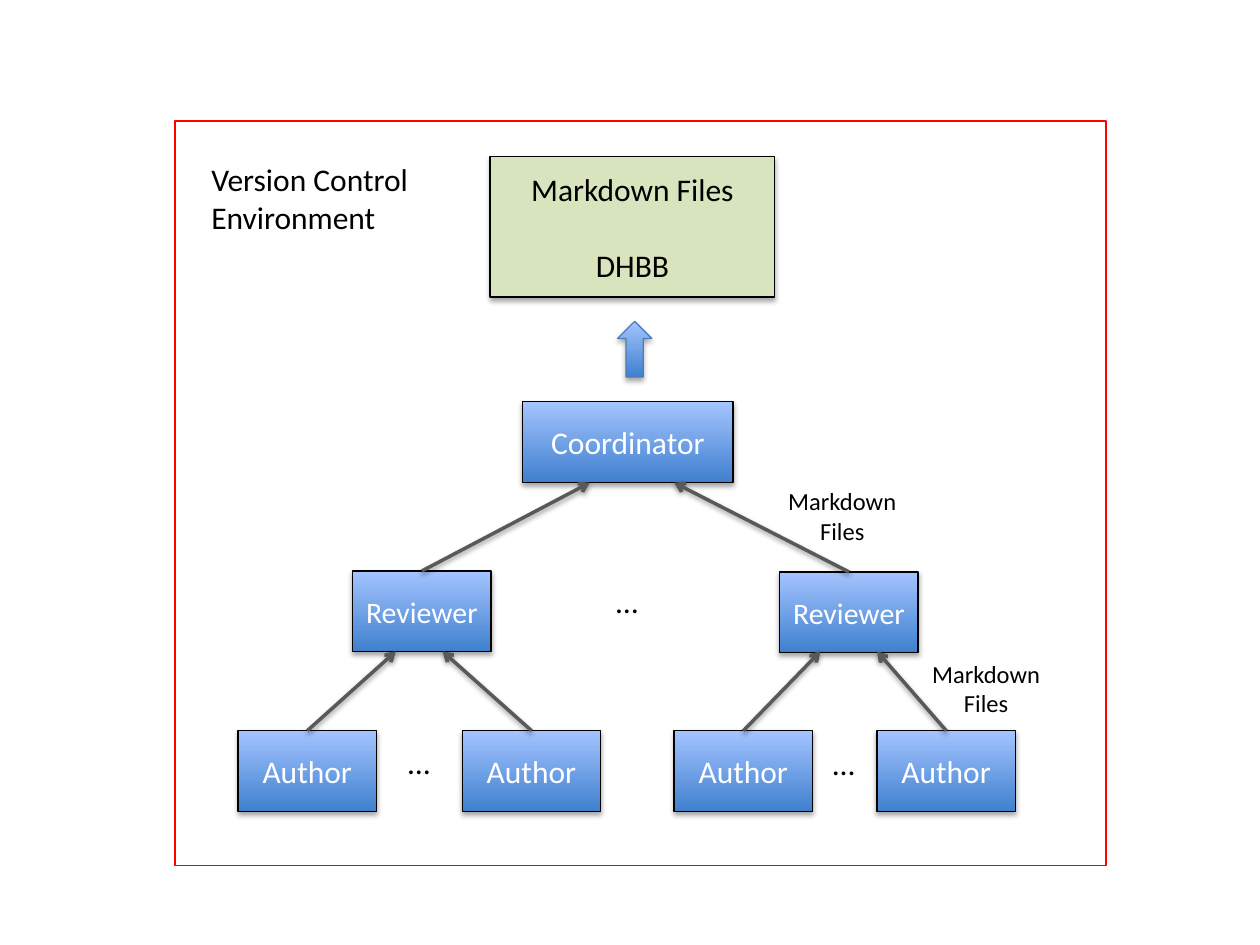
from lxml import etree
from pptx import Presentation
from pptx.dml.color import RGBColor
from pptx.enum.shapes import MSO_CONNECTOR, MSO_SHAPE
from pptx.enum.text import MSO_ANCHOR, PP_ALIGN
from pptx.oxml.ns import qn
from pptx.util import Cm, Pt

BLACK = RGBColor(0x00, 0x00, 0x00)
WHITE = RGBColor(0xFF, 0xFF, 0xFF)
RED = RGBColor(0xFF, 0x00, 0x00)
GREEN = RGBColor(0xD7, 0xE4, 0xBD)
BLUE_DARK = RGBColor(0x3F, 0x80, 0xCE)
BLUE_LIGHT = RGBColor(0xA4, 0xC4, 0xFF)
BLUE_EDGE = RGBColor(0x4B, 0x7E, 0xBC)
GREY = RGBColor(0x59, 0x59, 0x59)

deck = Presentation()
deck.slide_width, deck.slide_height = Cm(25.4), Cm(19.05)
page = deck.slides.add_slide(deck.slide_layouts[6])


def write(box, paragraphs, size, color, align, gap=0):
    frame = box.text_frame
    frame.word_wrap = False
    for index, text in enumerate(paragraphs):
        para = frame.add_paragraph() if index else frame.paragraphs[0]
        para.text = text
        para.alignment = align
        para.space_before = Pt(gap if index else 0)
        for span in para.runs:
            for name, value in dict(name="Calibri", size=Pt(size)).items():
                setattr(span.font, name, value)
            span.font.color.rgb = color


def add_shadow(item, alpha, distance):
    effects = etree.SubElement(item._element.spPr, qn("a:effectLst"))
    shadow = etree.SubElement(effects, qn("a:outerShdw"), blurRad=str(Pt(3.1)),
                              dist=str(Pt(distance)), dir="5400000", rotWithShape="0")
    tint = etree.SubElement(shadow, qn("a:srgbClr"), val=str(BLACK))
    etree.SubElement(tint, qn("a:alpha"), val=str(alpha * 1000))


# Filled boxes and the block arrow; no fill colour means the blue gradient
AUTHOR_LEFTS = (4.8, 9.32, 13.59, 17.68)
AUTHOR_TOP = 14.73
REVIEWERS = ((7.11, 11.51), (15.72, 11.53))
ROLE_W, ROLE_H = 2.79, 1.63
RECT = MSO_SHAPE.RECTANGLE

blocks = [(RECT, 9.88, 3.15, 5.74, 2.84, ["Markdown Files", "DHBB"], 18, BLACK, GREEN, BLACK)]
blocks += [(RECT, left, AUTHOR_TOP, ROLE_W, ROLE_H, ["Author"], 18, WHITE, None, BLACK)
           for left in AUTHOR_LEFTS]
blocks += [(RECT, left, top, ROLE_W, ROLE_H, ["Reviewer"], 17, WHITE, None, BLACK)
           for left, top in REVIEWERS]
blocks += [
    (RECT, 10.54, 8.1, 4.24, ROLE_H, ["Coordinator"], 18, WHITE, None, BLACK),
    (MSO_SHAPE.UP_ARROW, 12.45, 6.48, 0.69, 1.12, [], 18, WHITE, None, BLUE_EDGE),
]
for kind, left, top, width, height, lines, size, ink, fill, edge in blocks:
    block = page.shapes.add_shape(kind, Cm(left), Cm(top), Cm(width), Cm(height))
    if fill is None:
        block.fill.gradient()
        block.fill.gradient_angle = 90
        for stop, color in zip(block.fill.gradient_stops, (BLUE_DARK, BLUE_LIGHT)):
            stop.color.rgb = color
    else:
        block.fill.solid()
        block.fill.fore_color.rgb = fill
    block.line.color.rgb = edge
    block.line.width = Pt(0.75)
    add_shadow(block, 35, 1.8)
    block.text_frame.vertical_anchor = MSO_ANCHOR.MIDDLE
    write(block, lines, size, ink, PP_ALIGN.CENTER, gap=22)

# Arrows from the top centre of each box to the one above
REVIEWER_BOTTOM, COORDINATOR_BOTTOM = 13.13, 9.73
links = [(left, AUTHOR_TOP, tip, REVIEWER_BOTTOM)
         for left, tip in zip(AUTHOR_LEFTS, (7.98, 8.92, 16.54, 17.68))]
links += [(left, top, tip, COORDINATOR_BOTTOM)
          for (left, top), tip in zip(REVIEWERS, (11.89, 13.59))]
for left, top, tip_x, tip_y in links:
    arrow = page.shapes.add_connector(MSO_CONNECTOR.STRAIGHT, Cm(left + ROLE_W / 2), Cm(top),
                                      Cm(tip_x), Cm(tip_y))
    arrow.line.color.rgb = GREY
    arrow.line.width = Pt(2)
    etree.SubElement(arrow.line._get_or_add_ln(), qn("a:tailEnd"), type="arrow")
    add_shadow(arrow, 38, 1.6)

# Frame of the environment
border = page.shapes.add_shape(RECT, Cm(3.53), Cm(2.44), Cm(18.77), Cm(15.01))
border.shadow.inherit = False
border.fill.background()
border.line.color.rgb = RED
border.line.width = Pt(0.75)

# Title, ellipses and file labels
labels = [(4.01, 3.1, 4.57, 1.8, ["Version Control", "Environment"], 18, PP_ALIGN.LEFT)]
labels += [(left, top, 0.97, 1.02, ["…"], 18, PP_ALIGN.LEFT)
           for left, top in ((12.17, 11.61), (7.98, 14.86), (16.54, 14.88))]
labels += [(left, top, 2.72, 1.45, ["Markdown\vFiles"], 14, PP_ALIGN.CENTER)
           for left, top in ((18.52, 13.16), (15.62, 9.68))]
for left, top, width, height, lines, size, align in labels:
    box = page.shapes.add_textbox(Cm(left), Cm(top), Cm(width), Cm(height))
    write(box, lines, size, BLACK, align)

deck.save("out.pptx")
